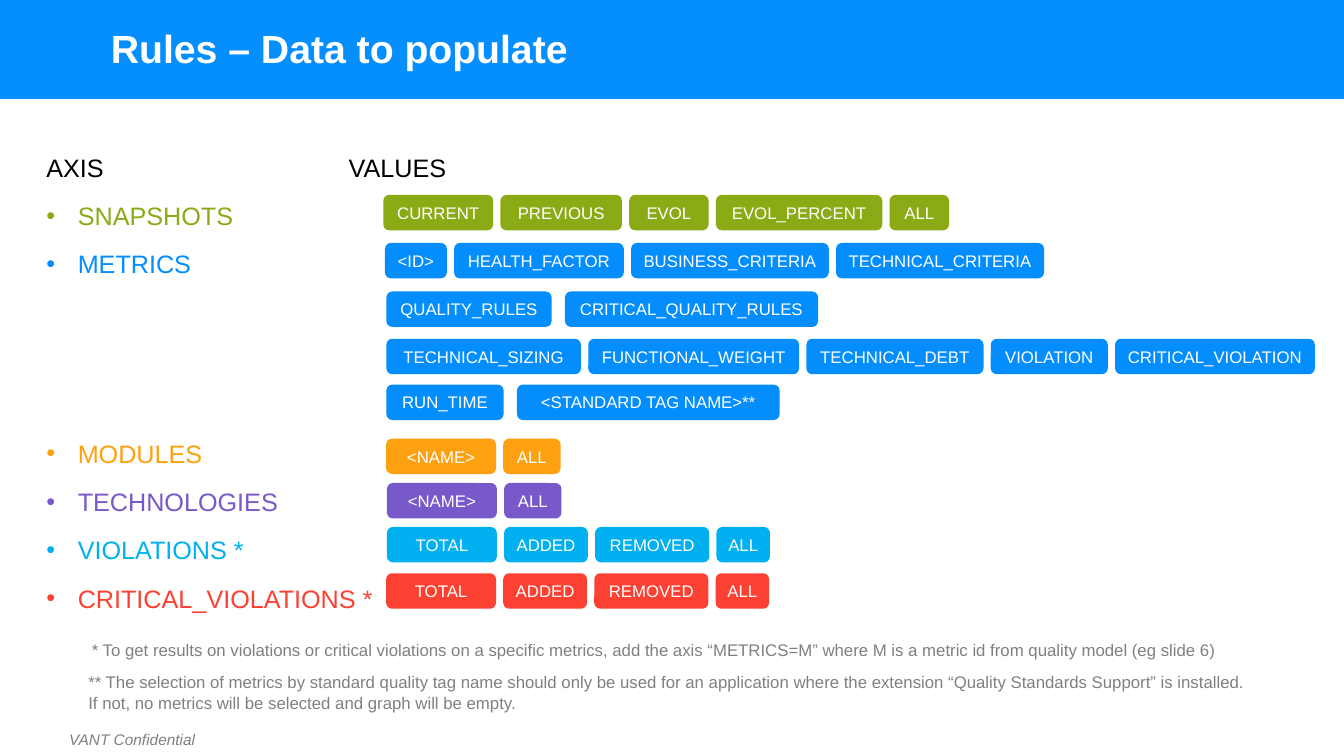
import pptx
import pptx.util
import pptx.dml.color
import pptx.enum.shapes
import pptx.enum.text
import pptx.oxml
import pptx.oxml.ns
from lxml import etree

Pt = pptx.util.Pt
PRESETS = pptx.enum.shapes.MSO_SHAPE
ALIGN = pptx.enum.text.PP_ALIGN
ANCHOR = pptx.enum.text.MSO_ANCHOR
COLORS = {
    "band": "058FFE", "white": "FFFFFF", "black": "000000", "note": "808080",
    "snapshots": "8AAA16", "metrics": "048EFD", "modules": "FDA110",
    "technologies": "7859C9", "violations": "00B0F0", "critical": "FC4132",
}


def add_run(paragraph, text, size, color):
    """Append an Arial run and return its font."""
    run = paragraph.add_run()
    run.text = text
    run.font.name = "Arial"
    run.font.size = Pt(size)
    run.font.color.rgb = pptx.dml.color.RGBColor.from_string(COLORS[color])
    return run.font


def add_block(preset, left, top, width, height, color):
    """Add a flat filled shape without outline or shadow."""
    block = slide.shapes.add_shape(preset, Pt(left), Pt(top), Pt(width), Pt(height))
    block.shadow.inherit = False
    block.fill.solid()
    block.fill.fore_color.rgb = pptx.dml.color.RGBColor.from_string(COLORS[color])
    block.line.fill.background()
    return block


deck = pptx.Presentation()
deck.slide_width, deck.slide_height = Pt(960), Pt(540)
slide = deck.slides.add_slide(deck.slide_layouts[5])

# Title on its band
title = slide.shapes.title
band = add_block(PRESETS.RECTANGLE, 0, 0, 960, 70.6, "band")
title.element.addprevious(band.element)
title.left, title.top, title.width, title.height = Pt(72), Pt(20.2), Pt(828), Pt(31.7)
title.text_frame.auto_size = pptx.enum.text.MSO_AUTO_SIZE.NONE
title.text_frame.vertical_anchor = ANCHOR.MIDDLE
heading = title.text_frame.paragraphs[0]
heading.alignment = ALIGN.LEFT
heading.line_spacing = 0.9
add_run(heading, "Rules – Data to populate", 28, "white").bold = True

# Axis list: a header line, then one bullet per axis
LINE_STEP = 33.57
axes = [
    ("SNAPSHOTS", "snapshots", 0), ("METRICS", "metrics", 0),
    ("MODULES", "modules", 3), ("TECHNOLOGIES", "technologies", 0),
    ("VIOLATIONS *", "violations", 0), ("CRITICAL_VIOLATIONS *", "critical", 0),
]
axis_list = slide.shapes.add_textbox(Pt(26), Pt(105.1), Pt(886), Pt(342.7)).text_frame
axis_list.word_wrap = True
header = axis_list.paragraphs[0]
header.space_after = Pt(0.9)
add_run(header, "AXIS\tVALUES", 18, "black")
tabs = etree.SubElement(header._p.get_or_add_pPr(), pptx.oxml.ns.qn("a:tabLst"))
etree.SubElement(tabs, pptx.oxml.ns.qn("a:tab"), pos=str(Pt(216)), algn="l")
for axis, color, skipped_lines in axes:
    entry = axis_list.add_paragraph()
    entry.space_before = Pt(12 + skipped_lines * LINE_STEP)
    entry.space_after = Pt(0.9)
    properties = entry._p.get_or_add_pPr()
    properties.set("marL", str(Pt(22.5)))
    properties.set("indent", str(-Pt(22.5)))
    etree.SubElement(properties, pptx.oxml.ns.qn("a:buFont"), typeface="Arial")
    etree.SubElement(properties, pptx.oxml.ns.qn("a:buChar"), char="•")
    add_run(entry, axis, 18, color)

# Value chips: colour, left, top, gap, then label and width of each chip
NARROW, WIDE = 5.2, 9.6
totals = [("TOTAL", 78.5), ("ADDED", 59.8), ("REMOVED", 81.5), ("ALL", 38.2)]
names = [("<NAME>", 78.5), ("ALL", 41)]
chip_rows = [
    ("snapshots", 273.8, 139.2, NARROW, [
        ("CURRENT", 78.5), ("PREVIOUS", 86.8), ("EVOL", 56.7),
        ("EVOL_PERCENT", 118.8), ("ALL", 42.5)]),
    ("metrics", 275, 173.5, NARROW, [
        ("<ID>", 44.2), ("HEALTH_FACTOR", 121.2),
        ("BUSINESS_CRITERIA", 141.2), ("TECHNICAL_CRITERIA", 148.6)]),
    ("metrics", 276, 208.2, WIDE, [
        ("QUALITY_RULES", 118), ("CRITICAL_QUALITY_RULES", 180.8)]),
    ("metrics", 276, 242, NARROW, [
        ("TECHNICAL_SIZING", 139), ("FUNCTIONAL_WEIGHT", 150.6),
        ("TECHNICAL_DEBT", 126.5), ("VIOLATION", 83.6),
        ("CRITICAL_VIOLATION", 142.7)]),
    ("metrics", 276, 274.7, WIDE, [
        ("RUN_TIME", 83.7), ("<STANDARD TAG NAME>**", 187.6)]),
    ("modules", 275.8, 313.3, NARROW, names),
    ("technologies", 276.4, 345, NARROW, names),
    ("violations", 276.4, 376.4, NARROW, totals),
    ("critical", 275.8, 409.5, NARROW, totals),
]
for color, left, top, gap, chips in chip_rows:
    for label, width in chips:
        chip = add_block(PRESETS.ROUNDED_RECTANGLE, left, top, width, 25.3, color)
        chip.text_frame.word_wrap = True
        chip.text_frame.vertical_anchor = ANCHOR.MIDDLE
        chip.text_frame.paragraphs[0].alignment = ALIGN.CENTER
        add_run(chip.text_frame.paragraphs[0], label, 12, "white")
        left += width + gap

# Footnotes and confidentiality line
notes = [
    (58.5, 453.6, 843, 28.8, 12, True, False,
     "* To get results on violations or critical violations on a specific metrics, add the axis "
     "“METRICS=M” where M is a metric id from quality model (eg slide 6)"),
    (56, 476.6, 843, 35.3, 12, True, False,
     "** The selection of metrics by standard quality tag name should only be used for an "
     "application where the extension “Quality Standards Support” is installed. If not, no "
     "metrics will be selected and graph will be empty."),
    (42.3, 517.7, 106, 20.9, 11, False, True, "VANT Confidential"),
]
for left, top, width, height, size, wrap, italic, text in notes:
    note = slide.shapes.add_textbox(Pt(left), Pt(top), Pt(width), Pt(height)).text_frame
    note.word_wrap = wrap
    add_run(note.paragraphs[0], text, size, "note").italic = italic

deck.save("out.pptx")
